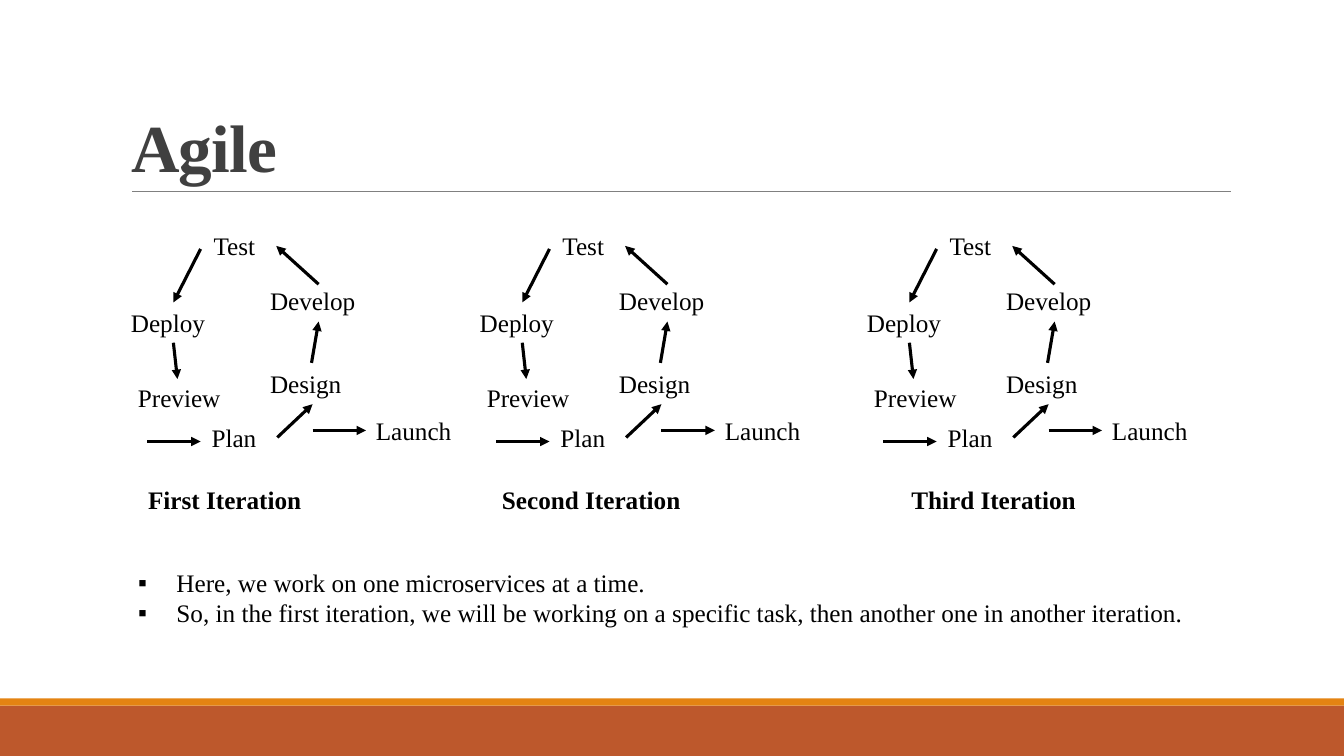
from lxml import etree
from pptx import Presentation
from pptx.dml.color import RGBColor
from pptx.enum.shapes import MSO_CONNECTOR, MSO_SHAPE
from pptx.enum.text import MSO_ANCHOR, MSO_AUTO_SIZE, PP_ALIGN
from pptx.oxml.ns import qn
from pptx.util import Pt

PX = 9144
STRAIGHT = MSO_CONNECTOR.STRAIGHT
RECT = MSO_SHAPE.RECTANGLE
TOP, BOTTOM = MSO_ANCHOR.TOP, MSO_ANCHOR.BOTTOM
NO_FIT = MSO_AUTO_SIZE.NONE
LEFT = PP_ALIGN.LEFT
FONT = "Times New Roman"
COLORS = {
    "band": "BD582C",
    "strip": "E48312",
    "rule": "808080",
    "title": "404040",
    "text": "000000",
}


def write(sp, box, text, size=18, bold=False, color="text", anchor=TOP,
          bullet=None, spacing=1.0, tracking=0):
    sp.left, sp.top, sp.width, sp.height = [v * PX for v in box]
    tf = sp.text_frame
    tf.word_wrap = True
    tf.auto_size = NO_FIT
    tf.vertical_anchor = anchor
    tf.text = text
    for p in tf.paragraphs:
        if bullet:
            pPr = p._p.get_or_add_pPr()
            pPr.set("marL", str(38 * PX))
            pPr.set("indent", str(-38 * PX))
            etree.SubElement(pPr, qn("a:buChar")).set("char", bullet)
        p.alignment = LEFT
        p.line_spacing = spacing
        p.space_before = Pt(0)
        for r in p.runs:
            r.font.name = FONT
            r.font.size = Pt(size)
            r.font.bold = bold
            r.font.color.rgb = RGBColor.from_string(COLORS[color])
            if tracking:
                r._r.get_or_add_rPr().set("spc", str(tracking))


def draw_line(x1, y1, x2, y2, color="text", width=2.25, arrow=True):
    line = s.shapes.add_connector(STRAIGHT, x1 * PX, y1 * PX, x2 * PX, y2 * PX)
    line.line.color.rgb = RGBColor.from_string(COLORS[color])
    line.line.width = Pt(width)
    if arrow:
        etree.SubElement(line.line._get_or_add_ln(), qn("a:tailEnd")).set("type", "triangle")
    etree.SubElement(line._element.spPr, qn("a:effectLst"))


prs = Presentation()
prs.slide_width, prs.slide_height = 1333 * PX, 750 * PX
s = prs.slides.add_slide(prs.slide_layouts[1])

for color, top, height in [("band", 700, 50), ("strip", 693, 7)]:
    sp = s.shapes.add_shape(RECT, 0, top * PX, prs.slide_width, height * PX)
    sp.shadow.inherit = False
    sp.fill.solid()
    sp.fill.fore_color.rgb = RGBColor.from_string(COLORS[color])
    sp.line.fill.background()

draw_line(131, 190, 1221, 190, color="rule", width=0.5, arrow=False)
write(s.shapes.title, (120, 31, 1100, 159), "Agile", size=48, bold=True,
      color="title", anchor=BOTTOM, spacing=0.85, tracking=-50)

steps = [
    ("Test", 82, 224, 72),
    ("Develop", 138, 278, 118),
    ("Design", 138, 360, 104),
    ("Plan", 80, 414, 75),
    ("Preview", 7, 374, 104),
    ("Deploy", 0, 300, 104),
    ("Launch", 243, 407, 104),
]
arrows = [
    (26, 438, 79, 438),
    (190, 427, 243, 427),
    (155, 434, 190, 401),
    (189, 360, 196, 319),
    (196, 282, 154, 244),
    (79, 247, 52, 300),
    (52, 340, 56, 376),
]
iterations = [
    ("First Iteration", 120, 137, 178),
    ("Second Iteration", 466, 488, 220),
    ("Third Iteration", 850, 894, 220),
]

for caption, left, caption_left, caption_width in iterations:
    for name, x, y, width in steps:
        write(s.shapes.add_textbox(0, 0, 0, 0), (left + x, y, width, 40), name)
    for x1, y1, x2, y2 in arrows:
        draw_line(left + x1, y1, left + x2, y2)
    write(s.shapes.add_textbox(0, 0, 0, 0), (caption_left, 476, caption_width, 40),
          caption, bold=True)

notes = [
    "Here, we work on one microservices at a time.",
    "So, in the first iteration, we will be working on a specific task, "
    "then another one in another iteration.",
]
write(s.placeholders[1], (127, 558, 1080, 71), "\n".join(notes), bullet="▪")

prs.save("out.pptx")
